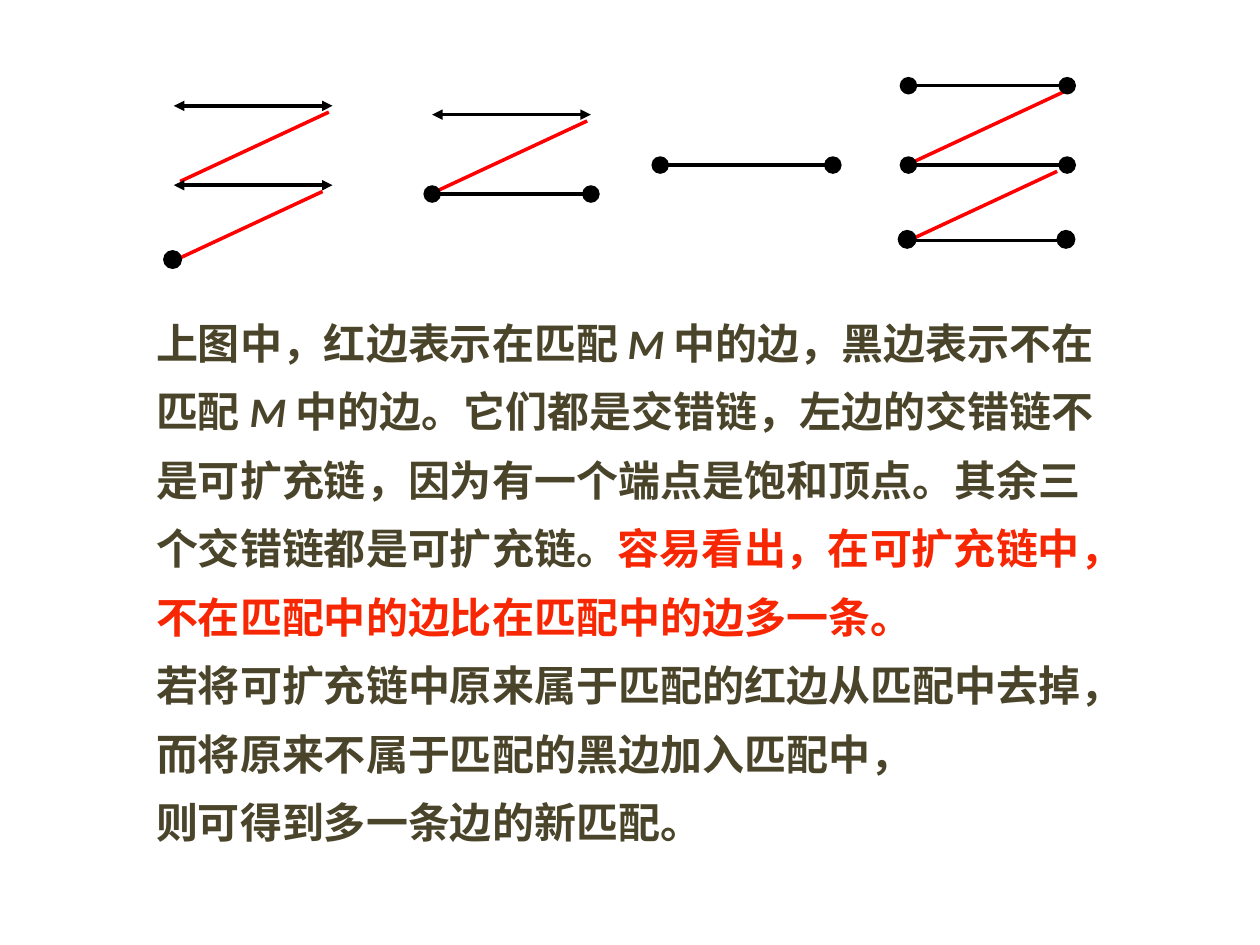
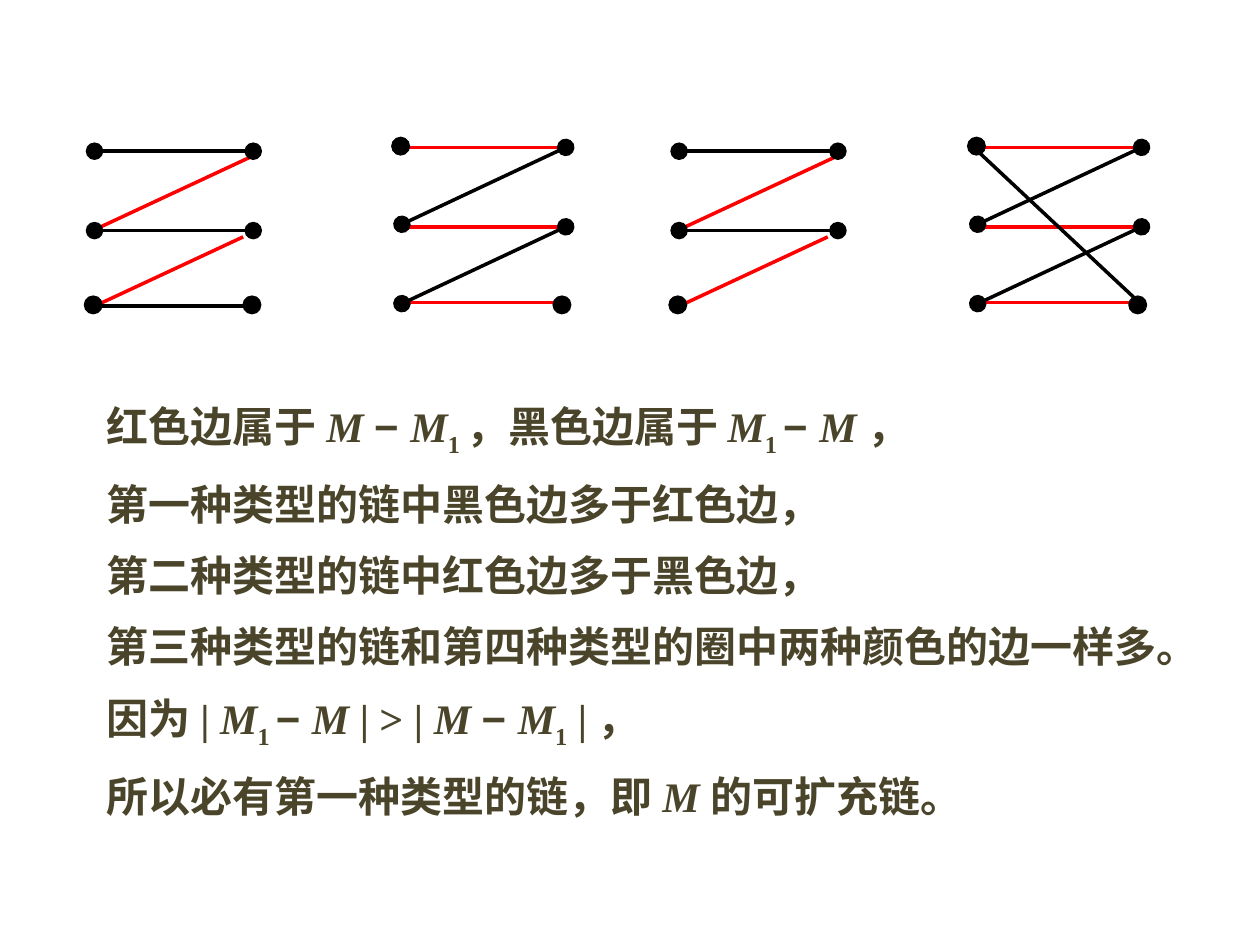
import pptx
import pptx.util
import pptx.dml.color
import pptx.enum.shapes
import pptx.enum.text
import pptx.oxml.ns
import lxml.etree

Inches = pptx.util.Inches
BLACK = "000000"
RED = "FF0000"
TEXT = "4A452A"
HIGHLIGHT = "F72603"
DOT = 0.14
ROWS = [0, 0.63, 1.23]
EDGE_WIDTH = 1.26
ARROW_SIZES = {"triangle": "med", "oval": "lg"}


def color(hex_string):
    return pptx.dml.color.RGBColor.from_string(hex_string)


def draw_edge(group, line_color, start, end, ends=None):
    points = [Inches(round(value, 2)) for value in (*start, *end)]
    edge = group.shapes.add_connector(pptx.enum.shapes.MSO_CONNECTOR.STRAIGHT, *points)
    edge.line.color.rgb = color(line_color)
    edge.line.width = pptx.util.Pt(2)
    if ends:
        line = edge.line._get_or_add_ln()
        for tag in ("a:headEnd", "a:tailEnd"):
            size = ARROW_SIZES[ends]
            lxml.etree.SubElement(line, pptx.oxml.ns.qn(tag), type=ends, w=size, len=size)
    lxml.etree.SubElement(edge._element.spPr, pptx.oxml.ns.qn("a:effectLst"))


presentation = pptx.Presentation()
presentation.slide_width = Inches(10)
presentation.slide_height = Inches(7.5)
blank = presentation.slide_layouts[6]
definition_slide = presentation.slides.add_slide(blank)
proof_slide = presentation.slides.add_slide(blank)

texts = [
    (definition_slide, (1.14, 2.41, 7.96, 4.49), "Calibri", 1.15, [
        [("上图中，红边表示在匹配 ", ""), ("M ", "italic"), ("中的边，黑边表示不在", "")],
        [("匹配 ", ""), ("M ", "italic"), ("中的边。它们都是交错链，左边的交错链不", "")],
        [("是可扩充链，因为有一个端点是饱和顶点。其余三", "")],
        [("个交错链都是可扩充链。", ""), ("容易看出，在可扩充链中，", "highlight")],
        [("不在匹配中的边比在匹配中的边多一条。", "highlight")],
        [("若将可扩充链中原来属于匹配的红边从匹配中去掉，", "")],
        [("而将原来不属于匹配的黑边加入匹配中，", "")],
        [("则可得到多一条边的新匹配。", "")],
    ]),
    (proof_slide, (0.75, 3.04, 8.9, 3.7), "Times New Roman", 1.2, [
        [("红色边属于 ", ""), ("M ", "italic"), ("− ", "minus"), ("M", "italic"),
         ("1 ", "subscript"), ("，黑色边属于 ", ""), ("M", "italic"), ("1 ", "subscript"),
         ("− ", "minus"), ("M ", "italic"), ("，", "")],
        [("第一种类型的链中黑色边多于红色边，", "")],
        [("第二种类型的链中红色边多于黑色边，", "")],
        [("第三种类型的链和第四种类型的圈中两种颜色的边一样多。", "")],
        [("因为 | ", ""), ("M", "italic"), ("1 ", "subscript"), ("− ", "minus"),
         ("M", "italic"), (" | > | ", ""), ("M ", "italic"), ("− ", "minus"),
         ("M", "italic"), ("1", "subscript"), (" | ，", "")],
        [("所以必有第一种类型的链，即 ", ""), ("M ", "italic"), ("的可扩充链。", "")],
    ]),
]

for slide, box, font_name, line_spacing, lines in texts:
    text_frame = slide.shapes.add_textbox(*map(Inches, box)).text_frame
    text_frame.word_wrap = True
    text_frame.vertical_anchor = pptx.enum.text.MSO_ANCHOR.TOP
    for index, runs in enumerate(lines):
        paragraph = text_frame.add_paragraph() if index else text_frame.paragraphs[0]
        paragraph.line_spacing = line_spacing
        paragraph.space_before = pptx.util.Pt(6 if index else 0)
        for content, style in runs:
            run = paragraph.add_run()
            run.text = content
            run.font.size = pptx.util.Pt(24)
            run.font.bold = True
            run.font.italic = style == "italic"
            run.font.name = "Arial" if style == "minus" else font_name
            run.font.color.rgb = color(HIGHLIGHT if style == "highlight" else TEXT)
            if style == "subscript":
                run.font._element.set("baseline", "-25000")

left_dot = (-0.01, 1.22)
right_dot = (1.25, 1.22)
zigzags = [
    (definition_slide, 1.38, 0.84, EDGE_WIDTH, ["triangle", "triangle"], 2, [left_dot]),
    (definition_slide, 3.43, 0.91, EDGE_WIDTH, ["triangle", "oval"], 1, []),
    (definition_slide, 5.24, 1.31, 1.37, ["oval"], 0, []),
    (definition_slide, 7.21, 0.68, EDGE_WIDTH, ["oval", "oval", None], 2, [left_dot, right_dot]),
    (proof_slide, 0.75, 1.2, EDGE_WIDTH, ["oval", "oval", None], 2, [left_dot, right_dot]),
    (proof_slide, 5.39, 1.2, EDGE_WIDTH, ["oval", "oval"], 2, [left_dot]),
]
dots = []

for slide, left, top, width, row_ends, red_count, dot_offsets in zigzags:
    group = slide.shapes.add_group_shape()
    for x, y in [(0.05, 0.6), (0, 1.23)][:red_count]:
        draw_edge(group, RED, (left + x, top + y), (left + x + 1.18, top + y - 0.55))
    for row, ends in zip(ROWS, row_ends):
        draw_edge(group, BLACK, (left, top + row), (left + width, top + row), ends)
    dots += [(group, left + x, top + y) for x, y in dot_offsets]

for left, closed in [(3.19, False), (7.76, True)]:
    top = 1.17
    group = proof_slide.shapes.add_group_shape()
    for row in ROWS:
        draw_edge(group, RED, (left, top + row), (left + EDGE_WIDTH, top + row))
    for row in ROWS[:2]:
        draw_edge(group, BLACK, (left, top + row + 0.61), (left + 1.3, top + row), "oval")
    if closed:
        draw_edge(group, BLACK, (left, top + 0.03), (left + EDGE_WIDTH, top + 1.21))
    dots += [(group, left - 0.01, top - 0.01), (group, left + 1.27, top + 1.25)]

for group, x, y in dots:
    dot = group.shapes.add_shape(
        pptx.enum.shapes.MSO_SHAPE.OVAL,
        Inches(round(x - DOT / 2, 2)), Inches(round(y - DOT / 2, 2)), Inches(DOT), Inches(DOT))
    dot.shadow.inherit = False
    dot.fill.solid()
    dot.fill.fore_color.rgb = color(BLACK)
    dot.line.color.rgb = color(BLACK)
    dot.line.width = pptx.util.Pt(0.75)

presentation.save("out.pptx")
